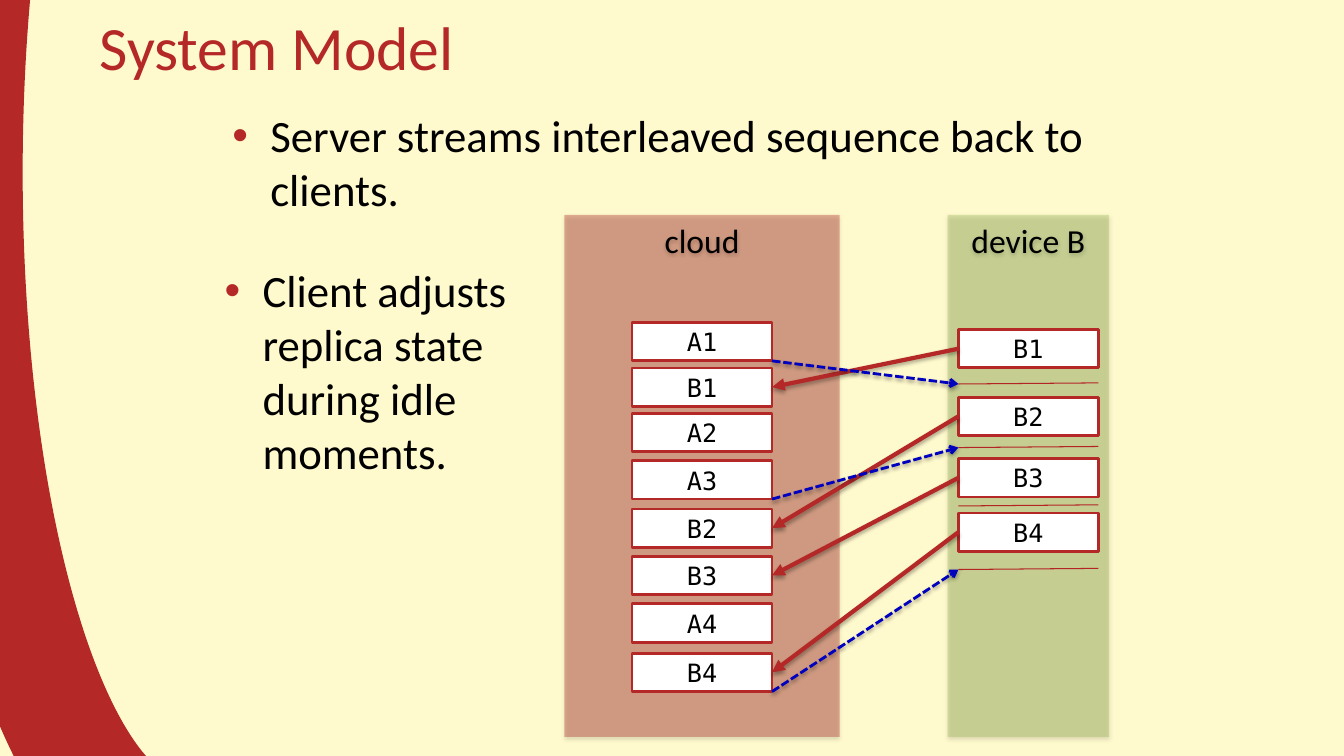
from lxml import etree
from pptx import Presentation
from pptx.dml.color import RGBColor
from pptx.enum import dml, shapes, text
from pptx.oxml import ns
from pptx.util import Pt

HUES = {"page": "FFFACD", "red": "B42828", "mark": "B32424", "green": "9BBB59",
        "blue": "0000BF", "white": "FFFFFF", "black": "000000"}
SANS, MONO = "Calibri", "DejaVu Sans Mono"
CARD_W, CARD_H = 100, 27.4
CLOUD = (403.2, 153.4, 196.6, 373)
DEVICE = (677, 153.4, 115.2, 373)
# Offsets from the top of each panel
CLOUD_ROWS = {"A1": 77, "B1": 109.4, "A2": 141.8, "A3": 175.7,
              "B2": 210.2, "B3": 244, "A4": 277.9, "B4": 313.2}
DEVICE_ROWS = {"B1": 82, "B2": 130.3, "B3": 174.2, "B4": 213}
MARKS = [120.9, 166.3, 208, 253.4]
REPLIES = {"A1": 0, "A3": 1, "B4": 3}


def hue(name):
    return RGBColor.from_string(HUES[name])


def add(node, tag, **attrs):
    child = etree.SubElement(node, ns.qn(tag))
    for key, value in attrs.items():
        child.set(key, str(value))
    return child


def cast(shape, alpha, drop):
    """Give the shape a soft shadow straight below it."""
    shade = add(add(shape.element.spPr, "a:effectLst"), "a:outerShdw",
                blurRad=Pt(3.1), dist=Pt(drop), dir=90 * 60000, rotWithShape=0)
    add(add(shade, "a:srgbClr", val=HUES["black"]), "a:alpha", val=alpha * 1000)


def write(para, words, size, font=SANS, color="black"):
    run = para.add_run()
    run.text = words
    run.font.size, run.font.name = Pt(size), font
    run.font.color.rgb = hue(color)


def add_text(slide, box):
    frame = slide.shapes.add_textbox(*map(Pt, box)).text_frame
    frame.word_wrap = True
    return frame


def add_title(slide, box, words):
    frame = add_text(slide, box)
    frame.vertical_anchor = text.MSO_ANCHOR.MIDDLE
    write(frame.paragraphs[0], words, 44, color="red")


def add_bullet(slide, box, words):
    para = add_text(slide, box).paragraphs[0]
    props = para._p.get_or_add_pPr()
    props.set("marL", str(Pt(27)))
    props.set("indent", str(-Pt(27)))
    add(add(props, "a:buClr"), "a:srgbClr", val=HUES["red"])
    add(props, "a:buFont", typeface="Arial")
    add(props, "a:buChar", char="•")
    write(para, words, 32)


def add_swoosh(slide, box):
    arc = slide.shapes.add_shape(shapes.MSO_SHAPE.ARC, *map(Pt, box))
    arc.shadow.inherit = False
    # Start and end angle: 296 and 92 degrees, each times 0.6
    arc.adjustments[0] = 177.67
    arc.adjustments[1] = 55.34
    arc.element.spPr.find(ns.qn("a:xfrm")).set("flipH", "1")
    arc.fill.background()
    arc.line.color.rgb, arc.line.width = hue("red"), Pt(80)


def add_rect(slide, box, fill, words, size, font, anchor):
    rect = slide.shapes.add_shape(shapes.MSO_SHAPE.RECTANGLE, *map(Pt, box))
    rect.fill.solid()
    rect.fill.fore_color.rgb = hue(fill)
    frame = rect.text_frame
    frame.vertical_anchor = anchor
    para = frame.paragraphs[0]
    para.alignment = text.PP_ALIGN.CENTER
    write(para, words, size, font)
    return rect


def add_panel(slide, box, fill, name, rows):
    """Draw a titled panel with centred cards; return the cards by label."""
    panel = add_rect(slide, box, fill, name, 24, SANS, text.MSO_ANCHOR.TOP)
    panel.line.fill.background()
    tint = panel.element.spPr.find(".//" + ns.qn("a:srgbClr"))
    add(tint, "a:alpha", val=35000)
    cast(panel, 38, 1.6)
    left, top, width, _ = box
    cards = {}
    for label, drop in rows.items():
        spot = (left + (width - CARD_W) / 2, top + drop, CARD_W, CARD_H)
        card = add_rect(slide, spot, "white", label, 18, MONO, text.MSO_ANCHOR.MIDDLE)
        card.shadow.inherit = False
        card.line.color.rgb, card.line.width = hue("red"), Pt(2)
        cards[label] = card
    return cards


def add_line(slide, start, end, color, width, head=None, dash=None):
    line = slide.shapes.add_connector(shapes.MSO_CONNECTOR.STRAIGHT, *start, *end)
    line.line.color.rgb, line.line.width = hue(color), Pt(width)
    if dash:
        line.line.dash_style = dash
    if head:
        add(line.element.spPr.get_or_add_ln(), "a:tailEnd", type=head)
    return line


def add_flow(slide, cloud, device, top):
    """Link the device cards to the cloud, and the cloud to the device's marks."""
    for label, card in device.items():
        arrow = add_line(slide, (0, 0), (0, 0), "red", 3, "triangle")
        arrow.begin_connect(card, 1)
        arrow.end_connect(cloud[label], 3)
        cast(arrow, 35, 1.8)
    left = device["B1"].left
    spots = [(left, Pt(top + drop)) for drop in MARKS]
    for x, y in spots:
        mark = add_line(slide, (x, y), (x + Pt(CARD_W), y - Pt(0.8)), "mark", 0.75)
        add(mark.element.spPr, "a:effectLst")
    for label, index in REPLIES.items():
        card = cloud[label]
        corner = (card.left + card.width, card.top + card.height)
        reply = add_line(slide, corner, spots[index], "blue", 2, "arrow",
                         dml.MSO_LINE.SQUARE_DOT)
        cast(reply, 38, 1.6)


def main():
    deck = Presentation()
    deck.slide_width, deck.slide_height = Pt(960), Pt(540)
    slide = deck.slides.add_slide(deck.slide_layouts[6])
    back = slide.background.fill
    back.solid()
    back.fore_color.rgb = hue("page")
    add_swoosh(slide, (-23.8, -347.8, 295.9, 941.8))
    add_title(slide, (64, -12, 864, 90), "System Model")
    add_bullet(slide, (159, 73.4, 648, 98),
               "Server streams interleaved sequence back to clients.")
    add_bullet(slide, (153.4, 184.3, 226.8, 193),
               "Client adjusts replica state during idle moments.")
    device = add_panel(slide, DEVICE, "green", "device B", DEVICE_ROWS)
    cloud = add_panel(slide, CLOUD, "red", "cloud", CLOUD_ROWS)
    add_flow(slide, cloud, device, DEVICE[1])
    deck.save("out.pptx")


if __name__ == "__main__":
    main()
